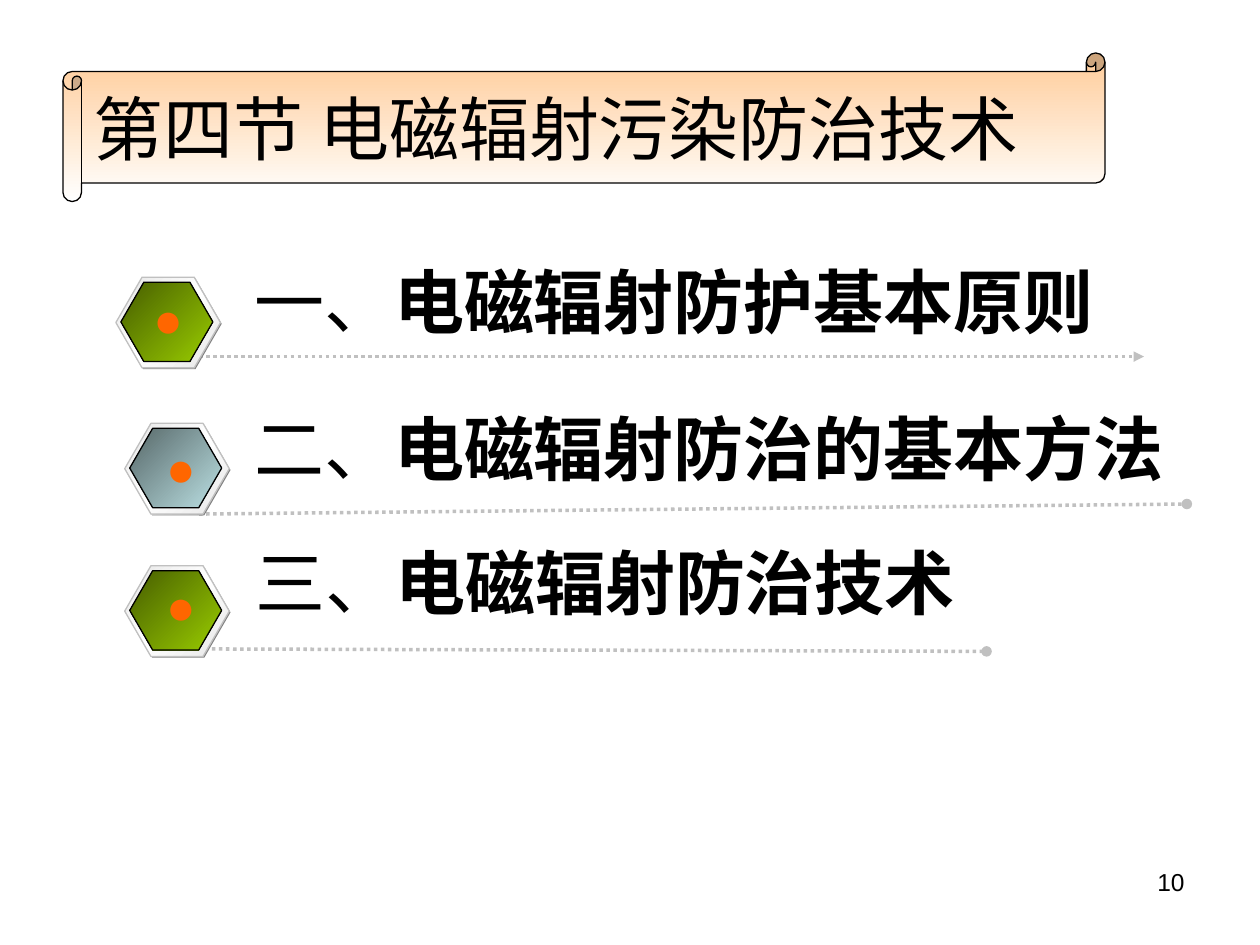
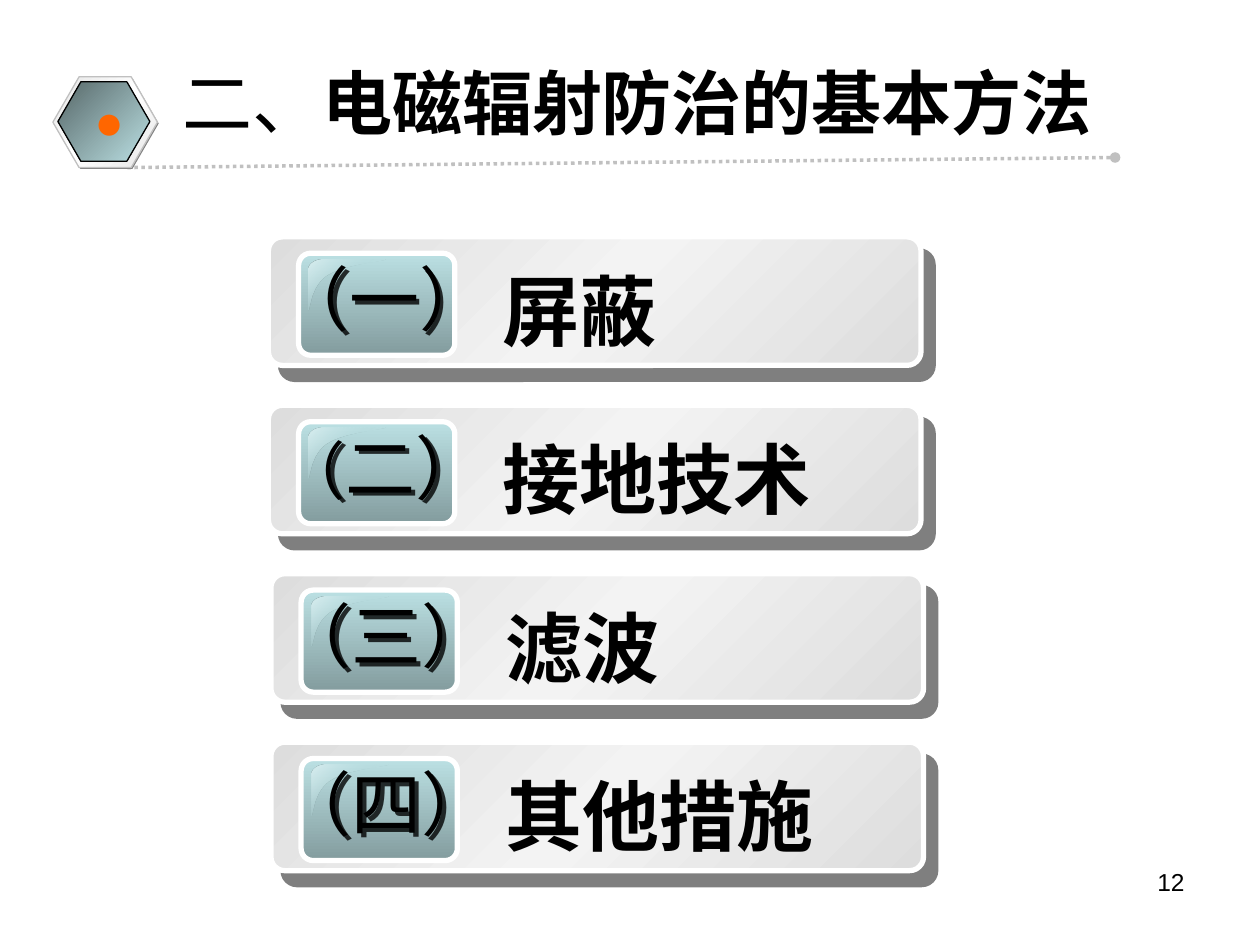
from lxml import etree
from pptx import Presentation
from pptx.dml.color import RGBColor
from pptx.enum.dml import MSO_LINE
from pptx.enum.shapes import MSO_CONNECTOR, MSO_SHAPE
from pptx.enum.text import MSO_ANCHOR, MSO_AUTO_SIZE, PP_ALIGN
from pptx.oxml.ns import qn
from pptx.util import Inches, Pt

HEX, ROUND = MSO_SHAPE.HEXAGON, MSO_SHAPE.ROUNDED_RECTANGLE
SCROLL, LINE = MSO_SHAPE.HORIZONTAL_SCROLL, MSO_CONNECTOR.STRAIGHT
LEFT, MID, RIGHT = PP_ALIGN.LEFT, PP_ALIGN.CENTER, PP_ALIGN.RIGHT
DOTS, GROW = MSO_LINE.ROUND_DOT, MSO_AUTO_SIZE.SHAPE_TO_FIT_TEXT

# Content
TITLE = "第四节 电磁辐射污染防治技术"
ROWS = [  # number, words, badge, text box, dot, line ends, arrowhead, colour
    dict(num="一、", words="电磁辐射防护基本原则", badge=(0.92, 2.2), text=(1.92, 2, 7),
         dot=(1.12, 2.24), ends=(1.58, 2.83, 9.08, 2.83), head="triangle",
         tone="green", bold=True, align=MID),
    dict(num="二、", words="电磁辐射防治的基本方法", badge=(0.99, 3.36), text=(1.92, 3.17, 7.8),
         dot=(1.22, 3.42), ends=(1.58, 4.08, 9.42, 4), head="oval",
         tone="blue", bold=False, align=LEFT),
    dict(num="三、", words="电磁辐射防治技术", badge=(0.99, 4.49), text=(1.93, 4.23, 6.23),
         dot=(1.22, 4.52), ends=(1.57, 5.15, 7.83, 5.17), head="oval",
         tone="green", bold=False, align=LEFT),
]
CARDS = [  # label runs with sizes, words, left edge
    ([("（一）", 40)], "屏蔽", 2.13),
    ([("（", 36), ("二）", 40)], "接地技术", 2.13),
    ([("（三）", 40)], "滤波", 2.15),
    ([("（四）", 40)], "其他措施", 2.15),
]
PAGES = ("10", "12")

# Shared look
CJK, SANS, WIDE = "Noto Sans CJK SC", "Arial", "DejaVu Sans"
INK, GREY, DOT = "000000", "C0C0C0", "FF6600"
TONES = {"green": ("475E00", "99CC00"), "blue": ("576869", "BBE0E3")}
RIM = ("E6E6E6", "FFFFFF", "E6E6E6")
PANEL = ("DDDDDD", "F3F3F3", "DDDDDD")
CHIP = ("BBE0E3", "839C9E")
SHINE = ("DAEEF0", ("BBE0E3", 0), "DAEEF0")
FIRST, LAST = 1.88, 5.89
SHIFT = (-0.57, -2.75)

# Outline of the shine, relative to a card: start, then curves and lines
GLOSS = [[(0.44, 0.18)], [(0.37, 0.18), (0.32, 0.22), (0.32, 0.26)], [(0.32, 0.58)],
         [(0.34, 0.59), (0.33, 0.39), (0.48, 0.3)],
         [(0.64, 0.21), (0.93, 0.2), (0.93, 0.18)]]


def rgb(code):
    return RGBColor.from_string(code)


def node(up, tag, **attrs):
    item = etree.SubElement(up, qn("a:" + tag))
    for key, val in attrs.items():
        item.set(key, str(val))
    return item


def tint(up, code, alpha=100):
    clr = node(up, "srgbClr", val=code)
    if alpha < 100:
        node(clr, "alpha", val=alpha * 1000)


def shade(shape, dist, angle, alpha):
    shape.shadow.inherit = False
    up = shape._element.spPr.find(qn("a:effectLst"))
    cast = node(up, "outerShdw", dist=Pt(dist), dir=angle * 60000, algn="ctr", rotWithShape=0)
    tint(cast, INK, alpha)


def paint(shape, fill, angle=45, edge=None, width=0.75):
    """Fill with one colour or evenly spaced stops, then set the edge."""
    shape.shadow.inherit = False
    if isinstance(fill, str):
        shape.fill.solid()
        shape.fill.fore_color.rgb = rgb(fill)
    else:
        shape.fill.gradient()
        grad = shape._element.spPr.find(qn("a:gradFill"))
        grad.clear()
        stops = node(grad, "gsLst")
        for i, stop in enumerate(fill):
            code, alpha = (stop, 100) if isinstance(stop, str) else stop
            tint(node(stops, "gs", pos=100000 * i // (len(fill) - 1)), code, alpha)
        node(grad, "lin", ang=angle * 60000, scaled=0)
    if edge:
        shape.line.color.rgb = rgb(edge)
        shape.line.width = Pt(width)
    else:
        shape.line.fill.background()


def block(home, kind, box, adj, fill, **look):
    shape = home.add_shape(kind, *map(Inches, box))
    shape.adjustments[0] = adj
    paint(shape, fill, **look)
    return shape


def write(shape, runs, align=LEFT, wrap=True):
    """Runs are (text, size, font, colour, bold)."""
    frame = shape.text_frame
    frame.word_wrap = wrap
    para = frame.paragraphs[0]
    para.alignment = align
    for text, size, face, code, bold in runs:
        run = para.add_run()
        run.text = text
        for key, val in dict(size=Pt(size), bold=bold, name=face).items():
            setattr(run.font, key, val)
        run.font.color.rgb = rgb(code)
        east = etree.Element(qn("a:ea"), typeface=face)
        run._r.get_or_add_rPr().find(qn("a:latin")).addnext(east)
    return frame


def label(home, box, runs, grow=True, **look):
    shape = home.add_textbox(*map(Inches, box))
    frame = write(shape, runs, **look)
    if grow:
        frame.auto_size = GROW
    return shape


def rule(slide, ends, head):
    line = slide.shapes.add_connector(LINE, *map(Inches, ends))
    line.line.color.rgb = rgb(GREY)
    line.line.width = Pt(2)
    line.line.dash_style = DOTS
    node(line.line._get_or_add_ln(), "tailEnd", type=head)
    node(line._element.spPr, "effectLst")


def heading(slide, row, dx=0, dy=0):
    """Dotted rule, hexagon badge, numbered words and dot."""
    x1, y1, x2, y2 = row["ends"]
    rule(slide, (x1 + dx, y1 + dy, x2 + dx, y2 + dy), row["head"])
    x, y = row["badge"][0] + dx, row["badge"][1] + dy
    badge = slide.shapes.add_group_shape().shapes
    for gap, wide, high, fill, edge in (
            (0.01, 0.83, 0.72, "808080", None),
            (0, 0.83, 0.72, RIM, GREY),
            (0.04, 0.73, 0.63, TONES[row["tone"]], INK)):
        block(badge, HEX, (x + gap, y + gap, wide, high), 0.289, fill, edge=edge)
    left, top, wide = row["text"]
    label(slide.shapes, (left + dx, top + dy, wide, 0.77),
          [(row["num"], 40, CJK, INK, False), (row["words"], 40, WIDE, INK, True)])
    left, top = row["dot"]
    label(slide.shapes, (left + dx, top + dy, 0.43, 0.57),
          [("●", 28, SANS, DOT, row["bold"])], align=row["align"], wrap=False)


def gloss(home, x, y):
    """Draw through all points, then join each three into one curve."""
    spots = [(Inches(x + a), Inches(y + b)) for part in GLOSS for a, b in part]
    pen = home.build_freeform(*spots[0])
    pen.add_line_segments(spots[1:], close=True)
    shape = pen.convert_to_shape()
    legs = iter(list(shape._element.spPr.iter(qn("a:lnTo"))))
    for part in GLOSS[1:]:
        group = [next(legs) for _ in part]
        if len(group) == 3:
            bend = etree.Element(qn("a:cubicBezTo"))
            group[0].addprevious(bend)
            for leg in group:
                bend.append(leg[0])
                leg.getparent().remove(leg)
    paint(shape, SHINE)


def card(slide, x, y, marks, words):
    home = slide.shapes.add_group_shape().shapes
    panel = block(home, ROUND, (x, y, 5.18, 1.02), 0.109, PANEL, edge="FFFFFF", width=3)
    shade(panel, 10.6, 49, 50)
    block(home, ROUND, (x + 0.24, y + 0.13, 1.24, 0.81), 0.119, CHIP,
          angle=90, edge="FFFFFF", width=3)
    gloss(home, x, y)
    mark = label(home, (x - 0.01, y + 0.1, 1.86, 0.77),
                 [(text, size, SANS, INK, False) for text, size in marks],
                 align=MID, wrap=False)
    mark.text_frame.margin_left = mark.text_frame.margin_right = 0
    shade(mark, 3, 45, 80)
    name = label(home, (x + 1.62, y + 0.16, 3.56, 0.84), [(words, 44, CJK, INK, True)])
    name.text_frame.margin_left = Inches(0.24)


def number(slide, page):
    label(slide.shapes, (7.17, 6.83, 2.33, 0.52), [(page, 14, SANS, INK, False)],
          grow=False, align=RIGHT)


def main():
    deck = Presentation()
    deck.slide_width, deck.slide_height = Inches(10), Inches(7.5)
    outline, methods = [deck.slides.add_slide(deck.slide_layouts[6]) for _ in PAGES]

    # Section outline
    for row in ROWS:
        heading(outline, row)
    scroll = block(outline.shapes, SCROLL, (0.5, 0.42, 8.27, 1.18), 0.125,
                   ("FFCC99", "FFFFFF"), angle=90, edge=INK)
    frame = write(scroll, [(TITLE, 40, CJK, INK, False)], wrap=False)
    frame.vertical_anchor = MSO_ANCHOR.MIDDLE

    # Basic methods
    step = (LAST - FIRST) / (len(CARDS) - 1)
    for i, (marks, words, x) in enumerate(CARDS):
        card(methods, x, FIRST + i * step, marks, words)
    heading(methods, ROWS[1], *SHIFT)

    for slide, page in zip((outline, methods), PAGES):
        number(slide, page)
    deck.save("out.pptx")


if __name__ == "__main__":
    main()
